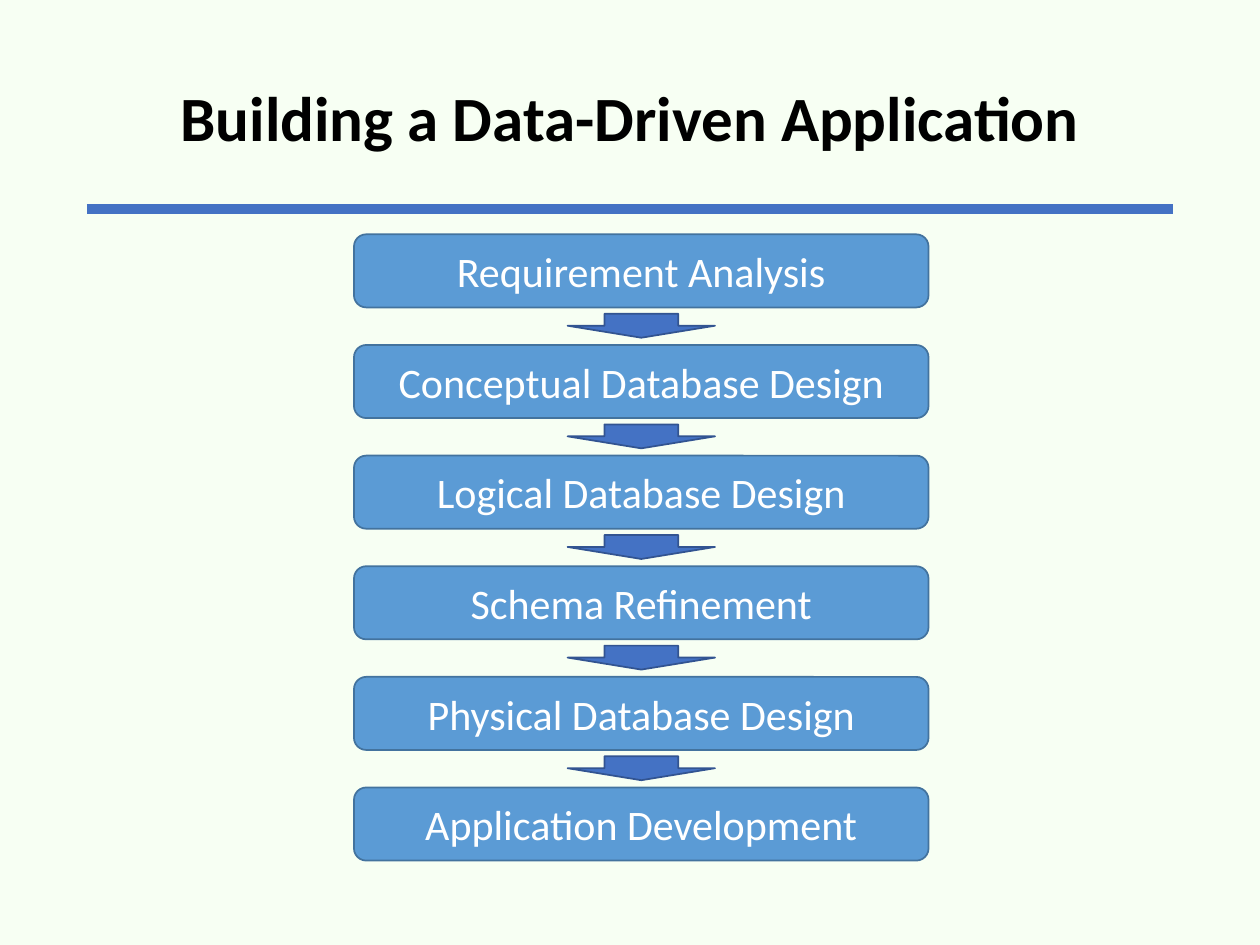
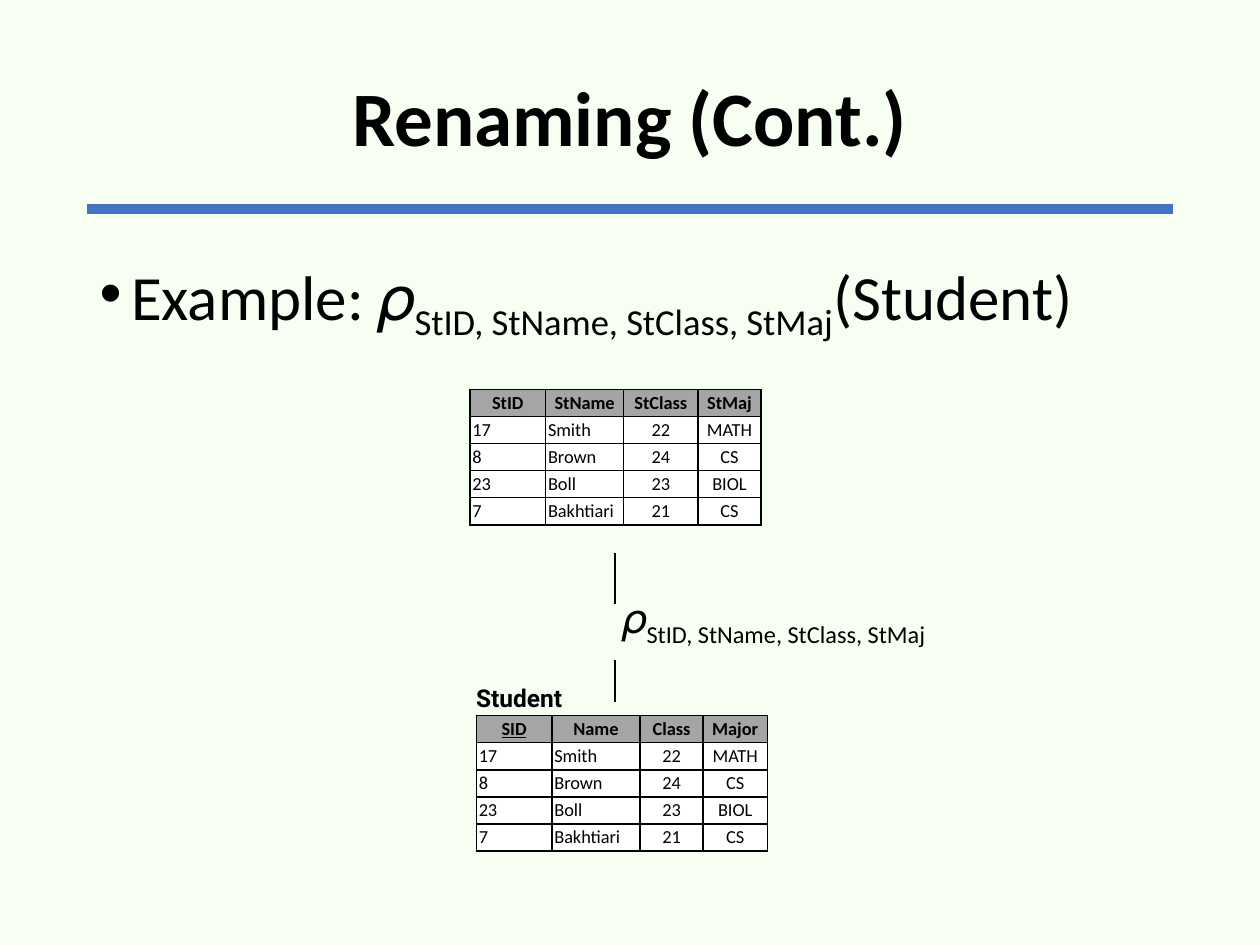
from pptx import Presentation
from pptx.dml.color import RGBColor as RGB
from pptx.enum.shapes import MSO_CONNECTOR as LINK, MSO_SHAPE as KIND
from pptx.enum.text import MSO_ANCHOR as ANCHOR, MSO_AUTO_SIZE as FIT, PP_ALIGN as ALIGN
from pptx.oxml.ns import qn
from pptx.util import Inches, Pt
from lxml.etree import SubElement as Sub

UNIT = Inches(0.1)
COLS, ROWS = 100, 75

BLACK, WHITE = RGB(0, 0, 0), RGB(255, 255, 255)
MINT = RGB(0xF7, 0xFF, 0xF3)
BLUE, NAVY = RGB(0x44, 0x72, 0xC4), RGB(0x32, 0x54, 0x91)
SKY, STEEL = RGB(0x5B, 0x9B, 0xD5), RGB(0x43, 0x73, 0x9E)
GRAY = RGB(0xA5, 0xA5, 0xA5)

SIDE = 6.9
STEPS = ("Requirement Analysis", "Conceptual Database Design", "Logical Database Design",
         "Schema Refinement", "Physical Database Design", "Application Development")
PEOPLE = (("17", "Smith", "22", "MATH"), ("8", "Brown", "24", "CS"),
          ("23", "Boll", "23", "BIOL"), ("7", "Bakhtiari", "21", "CS"))
NEW_HEAD = ("StID", "StName", "StClass", "StMaj")
OLD_HEAD = ("SID", "Name", "Class", "Major")
RHO, NAMES = "𝜌", ", ".join(NEW_HEAD)


def grid(*cells):
    """Turn grid cells into slide lengths."""
    return [round(cell * UNIT) for cell in cells]


def style(item, **values):
    """Set each named value on an item."""
    for name, value in values.items():
        setattr(item, name, value)


def place(shape, *cells):
    """Move and size a shape on the grid."""
    style(shape, **dict(zip(("left", "top", "width", "height"), grid(*cells))))


def write(para, text, size, color=BLACK, font="Calibri", sub=False, **values):
    """Add one run of styled text, as a subscript if asked."""
    run = para.add_run()
    run.text = text
    style(run.font, size=Pt(size), name=font, **values)
    run.font.color.rgb = color
    if sub:
        run._r.get_or_add_rPr().set("baseline", "-25000")


def paint(shape, fill, edge):
    """Give a shape a flat fill and a thin edge."""
    shape.shadow.inherit = False
    shape.fill.solid()
    shape.fill.fore_color.rgb = fill
    shape.line.color.rgb = edge
    shape.line.width = Pt(1)


def rule(slide, start, end, color, width):
    """Draw a straight line between two grid points."""
    line = slide.shapes.add_connector(LINK.STRAIGHT, *grid(*start, *end))
    line.line.color.rgb = color
    line.line.width = Pt(width)
    Sub(line._element.spPr, qn("a:effectLst"))
    return line


def title(slide, text, size):
    """Fill the title with bold centred text."""
    head = slide.shapes.title
    place(head, SIDE, 2.4, COLS - 2 * SIDE, 14.5)
    style(head.text_frame, auto_size=FIT.NONE, vertical_anchor=ANCHOR.MIDDLE)
    para = head.text_frame.paragraphs[0]
    style(para, alignment=ALIGN.CENTER, line_spacing=0.9)
    write(para, text, size, bold=True)


def label(slide, area, inset=1):
    """Add an empty text box and return its paragraph."""
    frame = slide.shapes.add_textbox(*grid(*area)).text_frame
    side = round(inset * UNIT)
    style(frame, word_wrap=True, vertical_anchor=ANCHOR.MIDDLE,
          margin_left=side, margin_right=side)
    return frame.paragraphs[0]


def flow(slide, steps, left=28.1, top=18.6, width=45.6, pitch=8.78):
    """Stack the steps in boxes with an arrow in each gap."""
    high, span = 5.8, 11.7
    for i, step in enumerate(steps):
        y = top + i * pitch
        box = slide.shapes.add_shape(KIND.ROUNDED_RECTANGLE, *grid(left, y, width, high))
        paint(box, SKY, STEEL)
        box.text_frame.vertical_anchor = ANCHOR.MIDDLE
        para = box.text_frame.paragraphs[0]
        para.alignment = ALIGN.CENTER
        write(para, step, 24, WHITE)
        if i < len(steps) - 1:
            area = grid(left + (width - span) / 2, y + 6.3, span, 1.9)
            paint(slide.shapes.add_shape(KIND.DOWN_ARROW, *area), BLUE, NAVY)


def frame_cell(cell):
    """Draw a thin black border round a cell."""
    props = cell._tc.get_or_add_tcPr()
    for side in ("lnL", "lnR", "lnT", "lnB"):
        line = Sub(props, qn(f"a:{side}"), w=str(Pt(1)))
        Sub(Sub(line, qn("a:solidFill")), qn("a:srgbClr"), val=str(BLACK))


def table(slide, left, top, widths, head, key=None):
    """Add a table of people below a gray head row."""
    rows, high = (head, *PEOPLE), 2.15
    area = grid(left, top, sum(widths), high * len(rows))
    chart = slide.shapes.add_table(len(rows), len(head), *area).table
    for col, width in zip(chart.columns, grid(*widths)):
        col.width = width
    pad = Inches(0.02)
    for r, row in enumerate(rows):
        for c, text in enumerate(row):
            cell = chart.cell(r, c)
            style(cell, margin_left=pad, margin_right=pad, margin_top=pad, margin_bottom=pad)
            frame_cell(cell)
            cell.fill.solid()
            cell.fill.fore_color.rgb = WHITE if r else GRAY
            para = cell.text_frame.paragraphs[0]
            para.alignment = ALIGN.LEFT if r and c < 2 else ALIGN.CENTER
            write(para, text, 10.5, bold=r == 0, underline=text == key)


def sample(slide):
    """Fill the body with the renaming example."""
    body = slide.placeholders[1]
    place(body, SIDE, 20, 87.7, 47.6)
    body.text_frame.auto_size = FIT.NONE
    para = body.text_frame.paragraphs[0]
    style(para, line_spacing=0.9, space_before=Pt(10))
    dent = Inches(0.25)
    props = para._p.get_or_add_pPr()
    props.set("marL", str(dent))
    props.set("indent", str(-dent))
    write(para, "Example: " + RHO, 36)
    write(para, NAMES, 36, sub=True)
    write(para, "(Student)", 36)


def rename(slide):
    """Show the student table and its renamed form."""
    mid = 48.8
    for top, end in ((43.9, 47.9), (52.4, 55.7)):
        rule(slide, (mid, top), (mid, end), BLACK, 1.5)
    para = label(slide, (49.4, 46.9, 26, 4.6), inset=0)
    write(para, RHO, 24)
    write(para, NAMES, 24, sub=True)
    table(slide, 37.8, 56.8, (6, 7, 5, 5.1), OLD_HEAD, key="SID")
    write(label(slide, (36.8, 53.7, 10, 3.4)), "Student", 14, font="Roboto", bold=True)
    table(slide, 37.3, 30.9, (6, 6.2, 5.9, 5), NEW_HEAD)


def main():
    """Build and save both slides."""
    deck = Presentation()
    style(deck, slide_width=COLS * UNIT, slide_height=ROWS * UNIT)
    master = deck.slide_master
    master.background.fill.solid()
    master.background.fill.fore_color.rgb = MINT

    build = deck.slides.add_slide(deck.slide_layouts[5])
    band = rule(build, (SIDE, 16.6), (COLS - SIDE, 16.6), BLUE, 6)
    master.shapes._spTree.append(band._element)
    title(build, "Building a Data-Driven Application", 36)
    flow(build, STEPS)

    cont = deck.slides.add_slide(deck.slide_layouts[1])
    title(cont, "Renaming (Cont.)", 44)
    sample(cont)
    rename(cont)
    deck.save("out.pptx")


if __name__ == "__main__":
    main()
